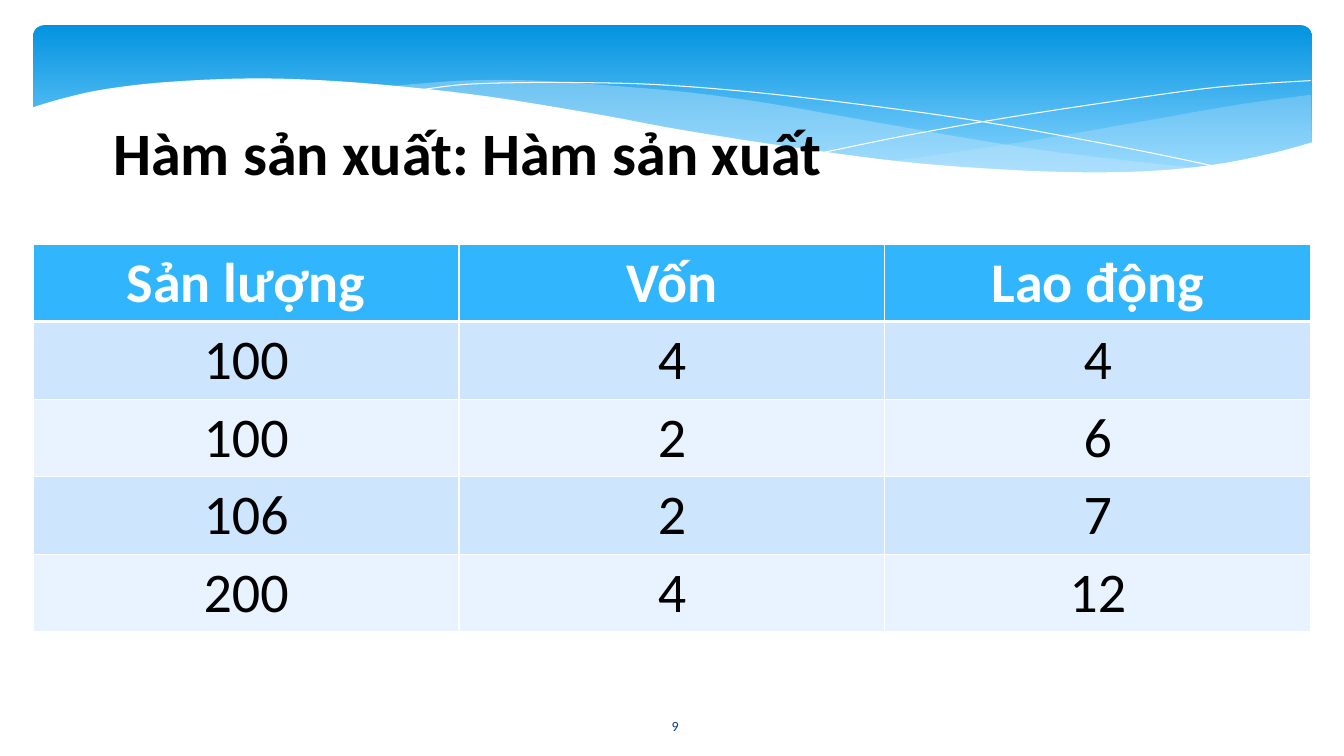
import dataclasses
import pptx
import pptx.dml.color
import pptx.enum.shapes
import pptx.enum.text
import pptx.oxml
import pptx.oxml.ns
import pptx.util

Inches = pptx.util.Inches
Pt = pptx.util.Pt
RGB = pptx.dml.color.RGBColor.from_string
ALIGN = pptx.enum.text.PP_ALIGN
ANCHOR = pptx.enum.text.MSO_ANCHOR


@dataclasses.dataclass(frozen=True)
class Theme:
    font: str = "Calibri"
    white: str = "FFFFFF"
    black: str = "000000"
    sky_top: str = "0293E0"
    sky_bottom: str = "83D3FE"
    haze: str = "C6E7FC"
    header: str = "31B6FD"
    bands: tuple = ("CEE5FE", "E8F3FF")
    number: str = "073E87"
    title_size: float = 43
    table_size: float = 40
    number_size: float = 10


THEME = Theme()

# Wave edges in inches from the top left corner of the sky band.
RIGHT_HAZE = (
    [(12.67, .69), (11.94, .79), (11.14, .93), (10.05, 1.12), (9.08, 1.27), (8.49, 1.35)],
    [(8.49, 1.35), (9.25, 1.42), (9.92, 1.46), (10.52, 1.47), (11.05, 1.45),
     (11.53, 1.41), (12.05, 1.33), (12.68, 1.17)],
)
MIDDLE_HAZE = (
    [(11.57, 1.42), (10.83, 1.34), (10.01, 1.24), (9.08, 1.09), (8.06, .91), (7.26, .77),
     (6.53, .67), (5.86, .61), (4.99, .55), (4.26, .55), (3.49, .61)],
    [(3.49, .61), (4.23, .69), (5.06, .81), (5.66, .91), (6.73, 1.1), (7.69, 1.25),
     (8.54, 1.36), (9.3, 1.43), (9.97, 1.47), (10.57, 1.48), (11.1, 1.46), (11.57, 1.42)],
)
FALLING_LINE = (
    [(3.79, .65), (4.25, .59), (4.83, .57), (5.44, .57), (6.19, .59), (7.09, .66),
     (8.15, .78), (9.37, .95), (10.75, 1.2), (11.77, 1.41)],
)
RISING_LINE = (
    [(7.85, 1.26), (8.63, 1.1), (9.64, .92), (10.82, .74), (11.61, .63), (12.17, .58),
     (12.67, .55)],
)
WHITE_WAVE = (
    [(12.69, 1.16), (12.33, 1.26), (11.8, 1.37), (11.18, 1.44), (10.45, 1.46), (9.59, 1.43),
     (8.58, 1.35), (7.39, 1.19), (6.38, 1.03), (5.63, .89), (4.53, .71), (3.57, .6),
     (2.73, .54), (2.02, .53), (1.25, .57), (.68, .64), (.28, .73), (-.02, .82)],
    [(-.02, 1.99), (12.69, 1.99)],
)

HEADINGS = ("Sản lượng", "Vốn", "Lao động")
OUTPUTS = ((100, 4, 4), (100, 2, 6), (106, 2, 7), (200, 4, 12))


def write_text(frame, text, *, size, color, bold=False, anchor=ANCHOR.TOP):
    frame.word_wrap = True
    frame.vertical_anchor = anchor
    para = frame.paragraphs[0]
    para.alignment = ALIGN.CENTER
    span = para.add_run()
    span.text = text
    span.font.name = THEME.font
    span.font.size = Pt(size)
    span.font.bold = bold
    span.font.color.rgb = RGB(color)


def smooth_edge(points, steps=5):
    """Return points along a Catmull-Rom curve through the given points."""
    curve = [points[0]]
    ends = [points[0], *points, points[-1]]
    for a, b, c, d in zip(ends, ends[1:], ends[2:], ends[3:]):
        for step in range(1, steps + 1):
            t = step / steps
            curve.append(tuple(
                (2 * q + (r - p) * t + (2 * p - 5 * q + 4 * r - s) * t ** 2
                 + (3 * q - p - 3 * r + s) * t ** 3) / 2
                for p, q, r, s in zip(a, b, c, d)))
    return curve


def add_wave(slide, box, edges, *, fill=None, opacity=100):
    """Draw a filled outline, or a white hairline when no fill is given."""
    left, top = box[:2]
    points = [(Inches(left + x), Inches(top + y))
              for edge in edges for x, y in smooth_edge(edge)]
    builder = slide.shapes.build_freeform(*points[0])
    builder.add_line_segments(points[1:], close=fill is not None)
    wave = builder.convert_to_shape()
    wave.shadow.inherit = False
    if fill is None:
        wave.fill.background()
        wave.line.color.rgb = RGB(THEME.white)
        wave.line.width = Pt(0)
        return
    wave.line.fill.background()
    wave.fill.solid()
    wave.fill.fore_color.rgb = RGB(fill)
    if opacity < 100:
        color = wave.fill._xPr.find(".//" + pptx.oxml.ns.qn("a:srgbClr"))
        color.append(pptx.oxml.parse_xml(
            f'<a:alpha {pptx.oxml.ns.nsdecls("a")} val="{opacity * 1000}"/>'))


def add_sky_band(slide, box):
    sky = slide.shapes.add_shape(
        pptx.enum.shapes.MSO_SHAPE.ROUNDED_RECTANGLE, *map(Inches, box))
    sky.adjustments[0] = 0.07
    sky.shadow.inherit = False
    sky.line.fill.background()
    sky.fill.gradient()
    sky.fill.gradient_angle = 270
    colors = ((0, THEME.sky_top), (0.9, THEME.sky_bottom))
    for stop, (position, color) in zip(sky.fill.gradient_stops, colors):
        stop.position = position
        stop.color.rgb = RGB(color)
    add_wave(slide, box, RIGHT_HAZE, fill=THEME.haze, opacity=29)
    add_wave(slide, box, MIDDLE_HAZE, fill=THEME.haze, opacity=40)
    add_wave(slide, box, FALLING_LINE)
    add_wave(slide, box, RISING_LINE)
    add_wave(slide, box, WHITE_WAVE, fill=THEME.white)


def add_title(slide, box, text):
    title = slide.shapes.title
    title.left, title.top, title.width, title.height = map(Inches, box)
    write_text(title.text_frame, text, size=THEME.title_size, color=THEME.black, bold=True)
    slide.shapes._spTree.append(title._element)  # in front of the waves


def set_borders(cell, **widths):
    properties = cell._tc.get_or_add_tcPr()
    for index, (side, width) in enumerate(widths.items()):
        properties.insert(index, pptx.oxml.parse_xml(
            f'<a:{side} {pptx.oxml.ns.nsdecls("a")} w="{Pt(width)}"><a:solidFill>'
            f'<a:srgbClr val="{THEME.white}"/></a:solidFill></a:{side}>'))


def add_output_table(slide, box):
    rows = (HEADINGS, *OUTPUTS)
    table = slide.shapes.add_table(len(rows), len(HEADINGS), *map(Inches, box)).table
    for r, values in enumerate(rows):
        heading = r == 0
        for c, value in enumerate(values):
            cell = table.cell(r, c)
            cell.fill.solid()
            cell.fill.fore_color.rgb = RGB(THEME.header if heading else THEME.bands[(r - 1) % 2])
            set_borders(cell, lnL=1, lnR=1, lnT=3 if r == 1 else 1, lnB=3 if heading else 1)
            write_text(cell.text_frame, str(value), size=THEME.table_size, bold=heading,
                       color=THEME.white if heading else THEME.black)


def add_page_number(slide, box, number):
    frame = slide.shapes.add_textbox(*map(Inches, box)).text_frame
    write_text(frame, number, size=THEME.number_size, color=THEME.number, anchor=ANCHOR.MIDDLE)


def main():
    deck = pptx.Presentation()
    deck.slide_width, deck.slide_height = Inches(13.33), Inches(7.5)
    slide = deck.slides.add_slide(deck.slide_layouts.get_by_name("Title Only"))
    add_sky_band(slide, (0.33, 0.25, 12.68, 1.56))
    add_page_number(slide, (5.85, 7, 1.69, 0.4), "9")
    add_output_table(slide, (0.33, 2.42, 12.67, 3.85))
    add_title(slide, (-0.03, 1.09, 9.33, 1.37), "Hàm sản xuất: Hàm sản xuất")
    deck.save("out.pptx")


if __name__ == "__main__":
    main()
